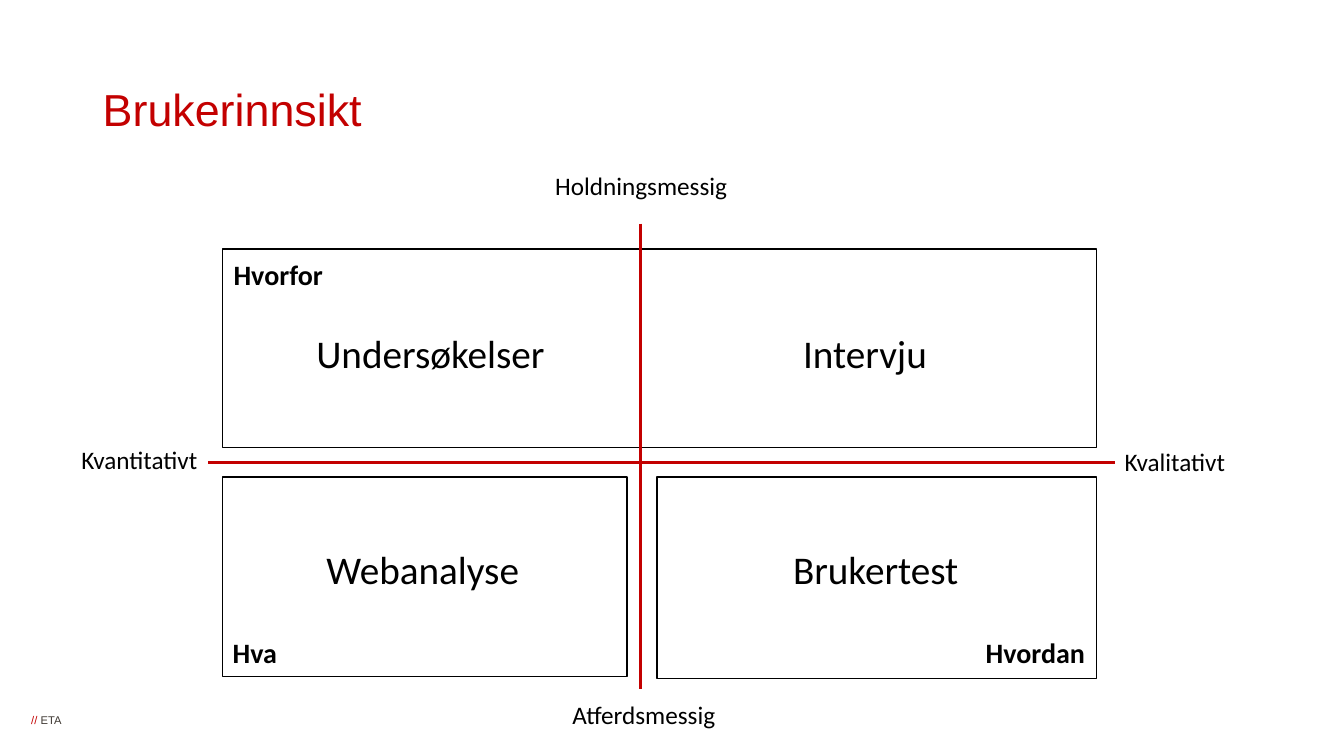
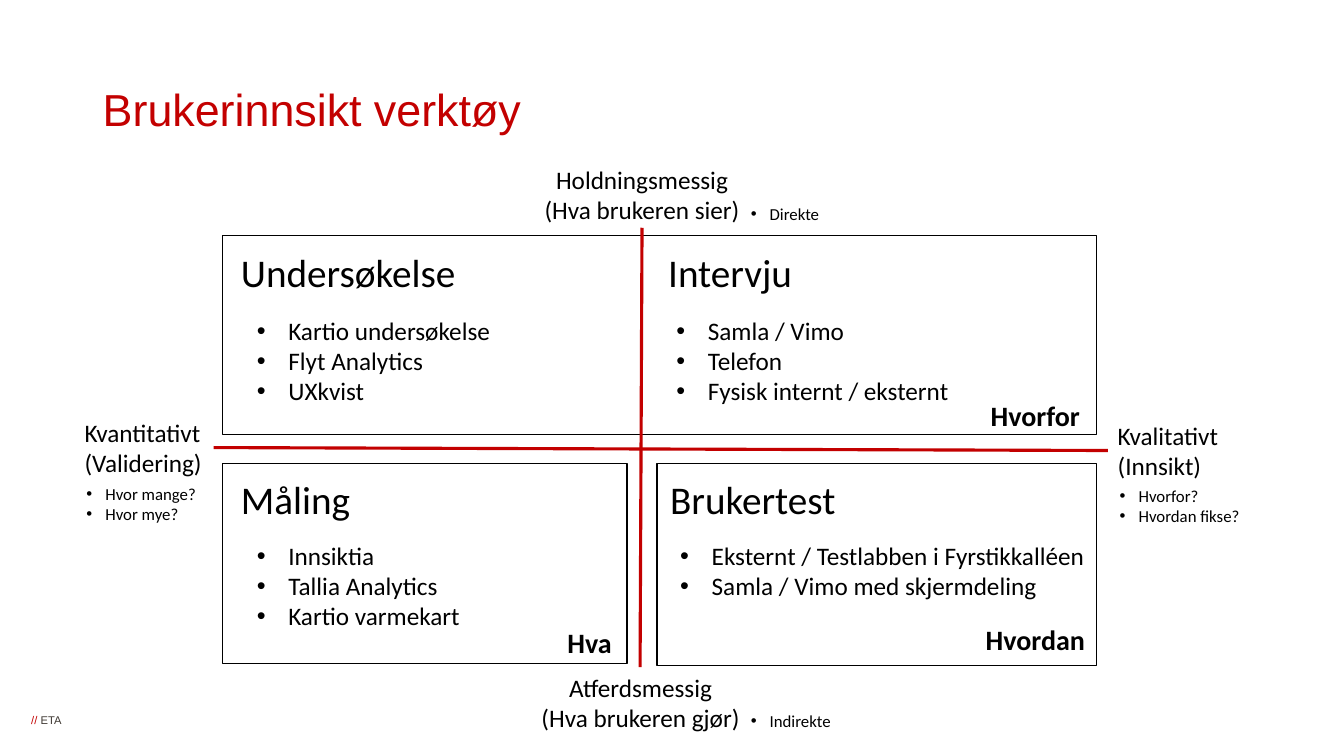
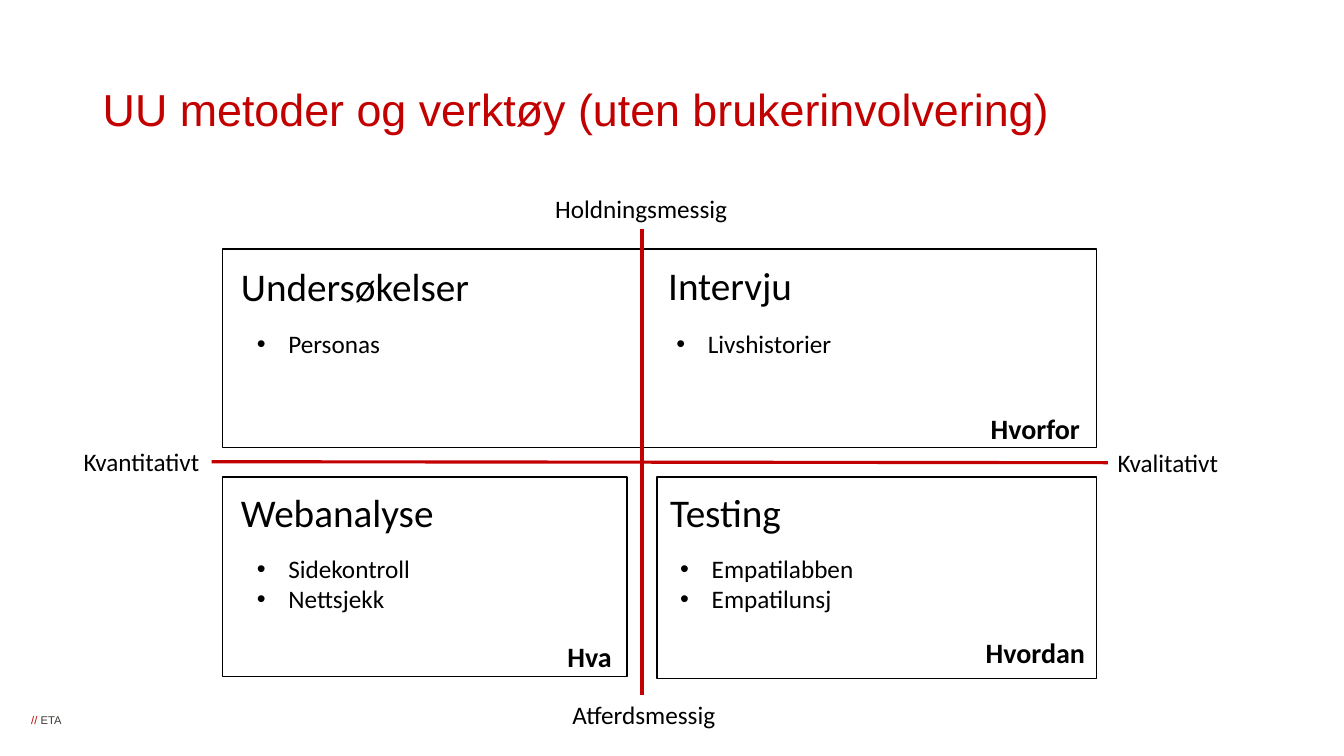
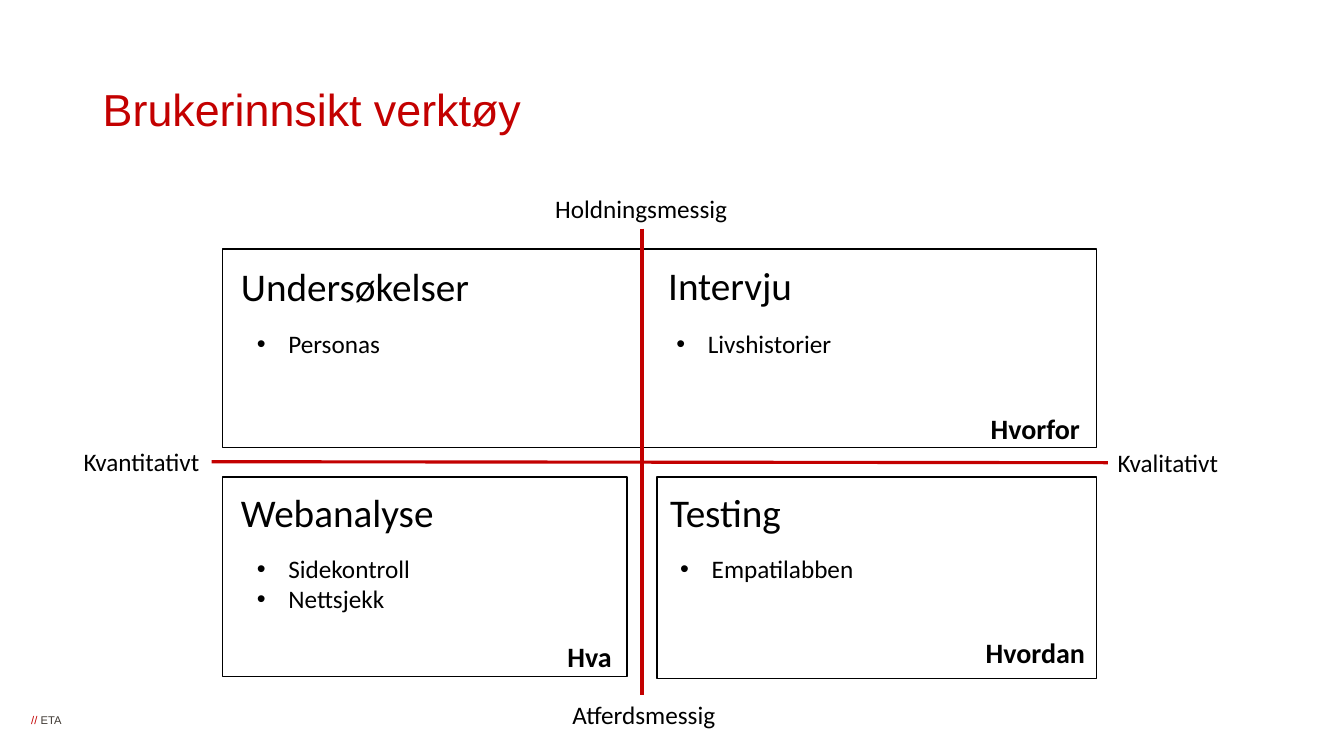
import dataclasses

import pptx
import pptx.dml.color
import pptx.enum.shapes
import pptx.enum.text
import pptx.oxml.ns
import pptx.oxml.xmlchemy
import pptx.util

Pt = pptx.util.Pt
ALIGN = pptx.enum.text.PP_ALIGN
qn = pptx.oxml.ns.qn


@dataclasses.dataclass(frozen=True)
class Style:
    """Type size, weight and hanging indent of one kind of text."""
    size: float
    bold: bool = False
    indent: float = 0
    font: str = "Calibri"
    color: str = "000000"


@dataclasses.dataclass(frozen=True)
class Theme:
    """Colours, type styles and line widths of the presentation."""
    red: str = "C30000"
    black: str = "000000"
    white: str = "FFFFFF"
    title: Style = Style(32, font="Arial", color="C30000")
    footer_mark: Style = Style(8, font="Arial", color="C30000")
    footer_name: Style = Style(8, font="Arial", color="3E3832")
    axis: Style = Style(18)
    heading: Style = Style(28)
    question: Style = Style(20, bold=True)
    bullet: Style = Style(18, indent=22.5)
    note: Style = Style(12, indent=13.5)
    axis_width: float = 2.25
    box_width: float = 1
    line_height: float = 1.22
    opacity: int = 81


# Widths of the text boxes, by their widest line
WIDTHS = {
    "Holdningsmessig": 139, "Atferdsmessig": 121.7,
    "(Hva brukeren sier)": 155.5, "(Hva brukeren gjør)": 157.7,
    "Kvalitativt": 87.1, "Kvantitativt": 98.6, "(Validering)": 99.4,
    "Undersøkelser": 179.3, "Undersøkelse": 169.2, "Intervju": 103.7,
    "Webanalyse": 153.4, "Måling": 93.6, "Brukertest": 133.9, "Testing": 94.3,
    "Hva": 46.8, "Hvordan": 86.4, "Hvorfor": 79.2,
}
BOXES = [
    (469.4, 340.6, 314, 144),
    (159.1, 340.6, 288.7, 142.6),
    (159.1, 177.8, 624.2, 141.8),
]
# Places by quadrant: top left, top right, bottom left, bottom right
HEADING_PLACES = [(165, 183.5), (470.2, 183), (165, 345), (471.6, 345)]
BULLET_PLACES = [(176.4, 231), (476, 231), (176.4, 391.7), (478.8, 391.7)]
QUESTION_PLACES = {
    "Hva": (398.2, 452.9), "Hvordan": (697, 450.7), "Hvorfor": (700.6, 290.2),
}


def apply(target, values):
    """Set each named attribute of the target."""
    for name, value in values.items():
        setattr(target, name, value)


def color(value):
    """Turn a hex string into a colour."""
    return pptx.dml.color.RGBColor.from_string(value)


def add_child(parent, tag, **attributes):
    """Append an XML element with the given attributes."""
    child = pptx.oxml.xmlchemy.OxmlElement(tag)
    for name, value in attributes.items():
        child.set(name, str(value))
    parent.append(child)


class Deck:
    """The presentation, its theme and the slide being built."""

    def __init__(self, theme):
        """Start a widescreen presentation."""
        self.theme = theme
        self.presentation = pptx.Presentation()
        apply(self.presentation, {"slide_width": Pt(960), "slide_height": Pt(540)})
        self.layout = self.presentation.slide_layouts[5]
        self.slide = None

    def new_slide(self, title):
        """Add a slide and format its title."""
        self.slide = self.presentation.slides.add_slide(self.layout)
        shape = self.slide.shapes.title
        apply(shape, {"left": Pt(66.2), "top": Pt(38.2),
                      "width": Pt(828), "height": Pt(84.2)})
        apply(shape.text_frame, {
            "word_wrap": True,
            "auto_size": pptx.enum.text.MSO_AUTO_SIZE.NONE,
            "vertical_anchor": pptx.enum.text.MSO_ANCHOR.MIDDLE})
        paragraph = shape.text_frame.paragraphs[0]
        apply(paragraph, {"alignment": ALIGN.LEFT, "line_spacing": 0.9})
        self.run(paragraph, title, self.theme.title)

    def run(self, paragraph, text, style):
        """Add styled text to a paragraph."""
        run = paragraph.add_run()
        run.text = text
        apply(run.font, {"name": style.font, "size": Pt(style.size),
                         "bold": style.bold})
        run.font.color.rgb = color(style.color)

    def text_box(self, left, top, width, height, wrap):
        """Add an empty text box that grows with its text."""
        shape = self.slide.shapes.add_textbox(Pt(left), Pt(top), Pt(width), Pt(height))
        apply(shape.text_frame, {
            "word_wrap": wrap,
            "auto_size": pptx.enum.text.MSO_AUTO_SIZE.SHAPE_TO_FIT_TEXT})
        return shape

    def text(self, lines, left, top, style, width=None, alignment=ALIGN.LEFT):
        """Add one paragraph a line, bulleted where the style has an indent."""
        width = width or max(WIDTHS.get(line, 0) for line in lines)
        height = len(lines) * style.size * self.theme.line_height + 7.2
        shape = self.text_box(left, top, width, height, wrap=style.indent > 0)
        frame = shape.text_frame
        for index, line in enumerate(lines):
            paragraph = frame.add_paragraph() if index else frame.paragraphs[0]
            paragraph.alignment = alignment
            self.run(paragraph, line, style)
        if style.indent:
            for element in shape.element.iter(qn("a:p")):
                properties = element.get_or_add_pPr()
                properties.set("marL", str(Pt(style.indent)))
                properties.set("indent", str(-Pt(style.indent)))
                add_child(properties, "a:buFont", typeface="Arial")
                add_child(properties, "a:buChar", char="•")

    def box(self, left, top, width, height, filled):
        """Add an outlined rectangle, clear or in translucent white."""
        shape = self.slide.shapes.add_shape(
            pptx.enum.shapes.MSO_SHAPE.RECTANGLE,
            Pt(left), Pt(top), Pt(width), Pt(height))
        shape.shadow.inherit = False
        if filled:
            shape.fill.solid()
            shape.fill.fore_color.rgb = color(self.theme.white)
            fill = next(shape.element.spPr.iter(qn("a:srgbClr")))
            add_child(fill, "a:alpha", val=self.theme.opacity * 1000)
        else:
            shape.fill.background()
        shape.line.color.rgb = color(self.theme.black)
        shape.line.width = Pt(self.theme.box_width)

    def axis(self, start, end):
        """Draw a red axis between two points."""
        connector = self.slide.shapes.add_connector(
            pptx.enum.shapes.MSO_CONNECTOR.STRAIGHT,
            *[Pt(value) for value in (*start, *end)])
        connector.line.color.rgb = color(self.theme.red)
        connector.line.width = Pt(self.theme.axis_width)
        add_child(connector.element.spPr, "a:effectLst")

    def share_footer(self):
        """Build the footer and move it to the layout all slides use."""
        shape = self.text_box(19.4, 509.8, 28.1, 9.4, wrap=True)
        apply(shape.text_frame, dict.fromkeys(
            ("margin_left", "margin_top", "margin_right", "margin_bottom"), 0))
        paragraph = shape.text_frame.paragraphs[0]
        paragraph.space_before = Pt(6)
        self.run(paragraph, "// ", self.theme.footer_mark)
        self.run(paragraph, "ETA", self.theme.footer_name)
        next(shape.element.iter(qn("a:pPr"))).set("marL", str(Pt(2.9)))
        shape.element.nvSpPr.cNvPr.set("id", "100")
        self.layout.shapes.element.append(shape.element)

    def matrix(self, axes, axis_labels, shift=0, filled=True, alignment=ALIGN.LEFT):
        """Draw the boxes, the two axes and the labels at their ends."""
        for left, top, width, height in BOXES:
            self.box(left, top + shift, width, height, filled)
        for start, end in axes:
            self.axis(start, end)
        for index, (lines, left, top) in enumerate(axis_labels):
            self.text(lines, left, top, self.theme.axis,
                      alignment=alignment if index < 2 else ALIGN.LEFT)

    def labels(self, places, style, shift=0):
        """Put each word of a mapping at its place."""
        for word, (left, top) in places.items():
            self.text([word], left, top + shift, style)

    def tools(self, headings, bullets, shift=0):
        """Fill the quadrants with headings, bullet lists and questions."""
        self.labels(dict(zip(headings, HEADING_PLACES)), self.theme.heading, shift)
        self.labels(QUESTION_PLACES, self.theme.question, shift)
        widths = (200, 220, 200, 310)
        for lines, (left, top), width in zip(bullets, BULLET_PLACES, widths):
            self.text(lines, left, top + shift, self.theme.bullet, width)


def build_overview(deck):
    """Build the slide with the four methods."""
    deck.new_slide("Brukerinnsikt")
    deck.share_footer()
    deck.matrix(
        axes=[((457.2, 159.8), (457.2, 492.5)), ((796.3, 330.5), (148.3, 330.5))],
        axis_labels=[(["Holdningsmessig"], 389.5, 118.1),
                     (["Atferdsmessig"], 401.8, 496.1),
                     (["Kvalitativt"], 796.3, 315.4),
                     (["Kvantitativt"], 51.1, 313.9)],
        filled=False)
    deck.labels({"Webanalyse": (226.1, 385.9), "Undersøkelser": (218.9, 231.8),
                 "Intervju": (566.6, 231.8), "Brukertest": (559.4, 385.9)},
                deck.theme.heading)
    deck.labels({"Hva": (159.1, 450.7), "Hvordan": (697, 450.7),
                 "Hvorfor": (159.8, 180.7)}, deck.theme.question)


def build_toolbox(deck):
    """Build the slide with tools and explained axes."""
    shift = -9.4
    deck.new_slide("Brukerinnsikt verktøy")
    deck.matrix(
        axes=[((458.6, 162.7), (457.2, 476.6)), ((791.3, 321.8), (152.6, 319.7))],
        axis_labels=[(["Holdningsmessig", "(Hva brukeren sier)"], 380.9, 113.8),
                     (["Atferdsmessig", "(Hva brukeren gjør)"], 378.7, 476.6),
                     (["Kvalitativt", "(Innsikt)"], 791.3, 296.6),
                     (["Kvantitativt", "(Validering)"], 53.3, 294.5)],
        shift=shift, alignment=ALIGN.CENTER)
    deck.tools(
        ["Undersøkelse", "Intervju", "Måling", "Brukertest"],
        [["Kartio undersøkelse", "Flyt Analytics", "UXkvist"],
         ["Samla / Vimo", "Telefon", "Fysisk internt / eksternt"],
         ["Innsiktia", "Tallia Analytics", "Kartio varmekart"],
         ["Eksternt / Testlabben i Fyrstikkalléen", "Samla / Vimo med skjermdeling"]],
        shift)
    for lines, left, top, width in [
            (["Hvor mange?", "Hvor mye?"], 54.7, 342, 97),
            (["Hvorfor?", "Hvordan fikse?"], 792.7, 343.4, 104),
            (["Direkte"], 529.2, 141.8, 67),
            (["Indirekte"], 529.2, 504, 75)]:
        deck.text(lines, left, top, deck.theme.note, width)


def build_accessibility(deck, title, tests):
    """Build a slide with methods that need no users."""
    deck.new_slide(title)
    deck.matrix(
        axes=[((458.6, 163.4), (458.6, 496.1)), ((791.3, 330.5), (151.2, 329.8))],
        axis_labels=[(["Holdningsmessig"], 389.5, 134.6),
                     (["Atferdsmessig"], 401.8, 496.1),
                     (["Kvalitativt"], 791.3, 316.1),
                     (["Kvantitativt"], 52.6, 315.4)])
    deck.tools(["Undersøkelser", "Intervju", "Webanalyse", "Testing"],
               [["Personas"], ["Livshistorier"], ["Sidekontroll", "Nettsjekk"], tests])


def main():
    """Build and save the presentation."""
    deck = Deck(Theme())
    build_overview(deck)
    build_toolbox(deck)
    build_accessibility(deck, "UU metoder og verktøy (uten brukerinvolvering)",
                        ["Empatilabben", "Empatilunsj"])
    build_accessibility(deck, "Brukerinnsikt verktøy", ["Empatilabben"])
    deck.presentation.save("out.pptx")


main()
